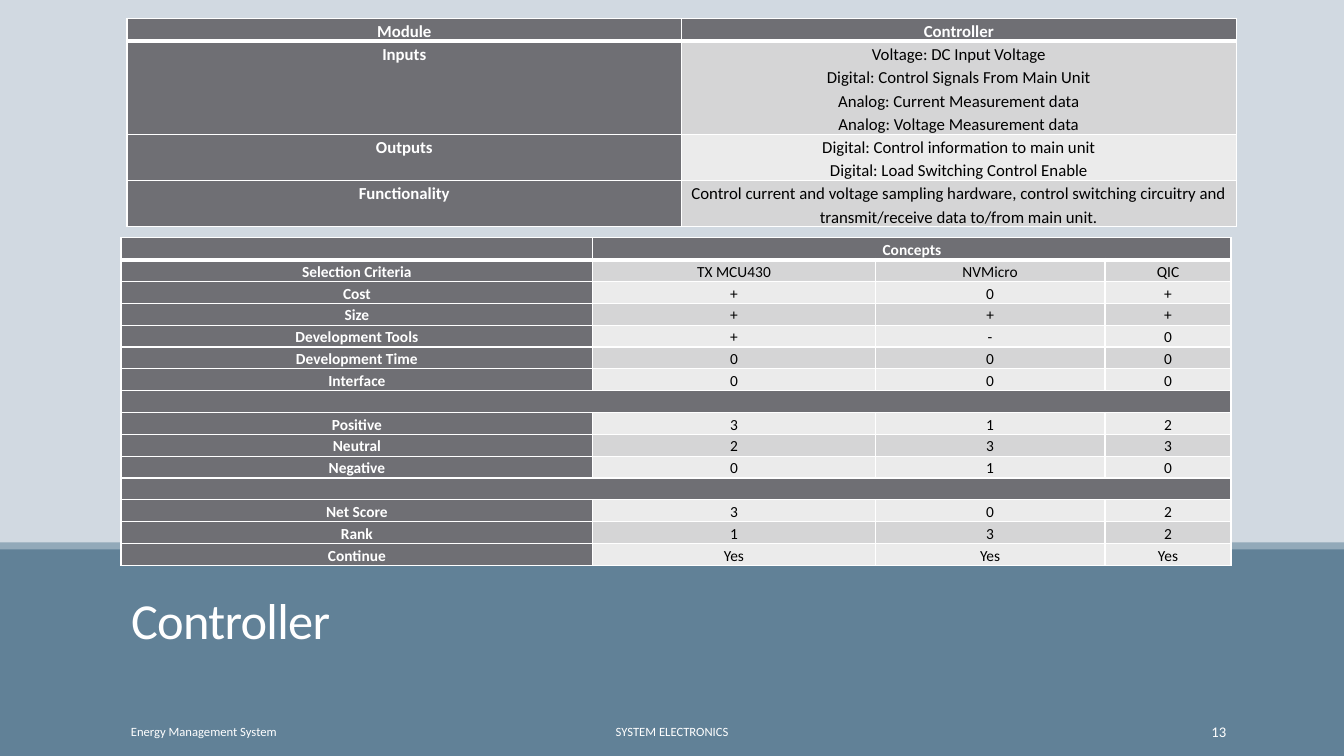
from lxml.etree import SubElement
from pptx import Presentation
from pptx.dml.color import RGBColor
from pptx.enum.shapes import MSO_SHAPE
from pptx.enum.text import MSO_ANCHOR as Anchor, PP_ALIGN as Align
from pptx.oxml.ns import qn
from pptx.util import Inches, Pt

COLORS = {
    "background": "D1D9E1", "band": "618197", "stripe": "92A9B9",
    "header": "6F6F74", "odd": "D5D5D6", "even": "EBEBEB",
    "white": "FFFFFF", "black": "000000",
}
FONT = "Calibri"

# Content: a cell with several lines holds one paragraph per line
TITLE = "Controller"
MODULE_ROWS = [
    ["Module", "Controller"],
    ["Inputs", "Voltage: DC Input Voltage\nDigital: Control Signals From Main Unit\n"
               "Analog: Current Measurement data\nAnalog: Voltage Measurement data"],
    ["Outputs", "Digital: Control information to main unit\n"
                "Digital: Load Switching Control Enable"],
    ["Functionality", "Control current and voltage sampling hardware, control switching "
                      "circuitry and transmit/receive data to/from main unit."],
]
MODULE_LINES = [1, 4, 2, 2]
CONCEPT_ROWS = [
    ["", "Concepts", "", ""],
    ["Selection Criteria", "TX MCU430", "NVMicro", "QIC"],
    ["Cost", "+", "0", "+"],
    ["Size", "+", "+", "+"],
    ["Development Tools", "+", "-", "0"],
    ["Development Time", "0", "0", "0"],
    ["Interface", "0", "0", "0"],
    ["", "", "", ""],
    ["Positive", "3", "1", "2"],
    ["Neutral", "2", "3", "3"],
    ["Negative", "0", "1", "0"],
    ["", "", "", ""],
    ["Net Score", "3", "0", "2"],
    ["Rank", "1", "3", "2"],
    ["Continue", "Yes", "Yes", "Yes"],
]
# text, left, width, size, alignment
FOOTERS = [
    ("Energy Management System", 1.2, 2.7, 9, Align.LEFT),
    ("SYSTEM ELECTRONICS", 4.03, 5.27, 9, Align.CENTER),
    ("13", 10.83, 1.43, 10.5, Align.RIGHT),
]
# top, height, color
BARS = [(5.42, 2.08, "band"), (5.38, 0.07, "stripe")]


def rgb(name):
    return RGBColor.from_string(COLORS[name])


def add_run(paragraph, text, size, color="white", bold=False):
    run = paragraph.add_run()
    run.text = text
    run.font.name = FONT
    run.font.size = Pt(size)
    run.font.bold = bold
    run.font.color.rgb = rgb(color)
    return run


def set_borders(cell, top, bottom):
    properties = cell._tc.get_or_add_tcPr()
    for side, width in (("L", 1), ("R", 1), ("T", top), ("B", bottom)):
        line = SubElement(properties, qn(f"a:ln{side}"), w=str(Pt(width)))
        fill = SubElement(line, qn("a:solidFill"))
        SubElement(fill, qn("a:srgbClr"), val=COLORS["white"])


def fill_cell(cell, text, row, is_header, size, anchor):
    set_borders(cell, top=3 if row == 1 else 1, bottom=3 if row == 0 else 1)
    cell.fill.solid()
    cell.fill.fore_color.rgb = rgb("header" if is_header else "odd" if row % 2 else "even")
    cell.margin_left = cell.margin_right = Inches(0.07)
    cell.margin_top = cell.margin_bottom = 0
    cell.vertical_anchor = anchor
    for index, line in enumerate(text.split("\n")):
        frame = cell.text_frame
        paragraph = frame.add_paragraph() if index else frame.paragraphs[0]
        paragraph.alignment = Align.CENTER
        paragraph.line_spacing = 1.15
        if line:
            add_run(paragraph, line, size, "white" if is_header else "black", is_header)
        else:  # keeps an empty row as low as the others
            SubElement(paragraph._p, qn("a:endParaRPr"), sz=str(size * 100))


def add_grid(slide, rows, left, top, widths, heights, size, anchor):
    table = slide.shapes.add_table(
        len(rows), len(widths), Inches(left), Inches(top),
        Inches(sum(widths)), Inches(sum(heights))).table
    for column, width in zip(table.columns, widths):
        column.width = Inches(width)
    for row, (texts, height) in enumerate(zip(rows, heights)):
        table.rows[row].height = Inches(height)
        is_band = row == 0 or not any(texts)
        for column, text in enumerate(texts):
            fill_cell(table.cell(row, column), text, row, is_band or column == 0, size, anchor)
    return table


presentation = Presentation()
presentation.slide_width = Inches(13.33)
presentation.slide_height = Inches(7.5)
slide = presentation.slides.add_slide(presentation.slide_layouts[5])
slide.background.fill.solid()
slide.background.fill.fore_color.rgb = rgb("background")

# Lower band and its stripe
for top, height, color in BARS:
    bar = slide.shapes.add_shape(
        MSO_SHAPE.RECTANGLE, 0, Inches(top), presentation.slide_width, Inches(height))
    bar.shadow.inherit = False
    bar.fill.solid()
    bar.fill.fore_color.rgb = rgb(color)
    bar.line.fill.background()

# Title, brought in front of the band
title = slide.shapes.title
slide.shapes._spTree.append(title._element)
title.left, title.top, title.width, title.height = map(Inches, (1.2, 5.55, 11.06, 0.9))
frame = title.text_frame
frame.word_wrap = True
frame.vertical_anchor = Anchor.BOTTOM
frame.margin_top = frame.margin_bottom = 0
paragraph = frame.paragraphs[0]
paragraph.alignment = Align.LEFT
paragraph.line_spacing = 0.85
run = add_run(paragraph, TITLE, 36)
run.font._element.set("spc", "-50")

# Footer line
for text, left, width, size, alignment in FOOTERS:
    box = slide.shapes.add_textbox(Inches(left), Inches(7.06), Inches(width), Inches(0.4))
    frame = box.text_frame
    frame.word_wrap = True
    frame.vertical_anchor = Anchor.MIDDLE
    frame.paragraphs[0].alignment = alignment
    add_run(frame.paragraphs[0], text, size)

# Module table
add_grid(slide, MODULE_ROWS, 1.26, 0.18, [5.5, 5.5],
         [0.23 * lines for lines in MODULE_LINES], 12, Anchor.TOP)

# Concept selection table
concepts = add_grid(slide, CONCEPT_ROWS, 1.2, 2.36, [4.68, 2.8, 2.28, 1.25],
                    [3.25 / len(CONCEPT_ROWS)] * len(CONCEPT_ROWS), 11, Anchor.BOTTOM)
concepts.cell(0, 1).vertical_anchor = Anchor.MIDDLE
concepts.cell(0, 1).merge(concepts.cell(0, 3))
for row, texts in enumerate(CONCEPT_ROWS):
    if not any(texts):
        concepts.cell(row, 0).merge(concepts.cell(row, 3))

presentation.save("out.pptx")
